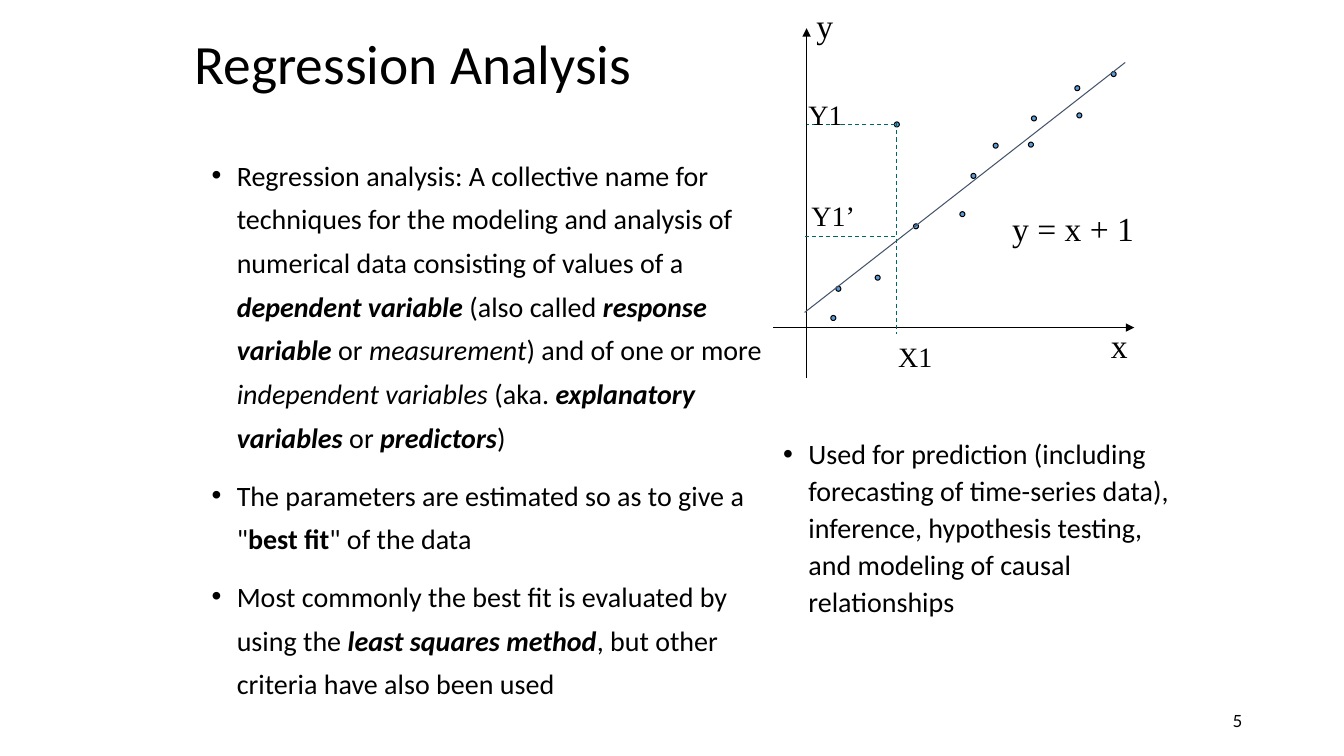
from lxml import etree
from pptx import Presentation
from pptx.dml.color import RGBColor
from pptx.enum.dml import MSO_LINE
from pptx.enum.shapes import MSO_CONNECTOR, MSO_SHAPE
from pptx.enum.text import MSO_ANCHOR, PP_ALIGN
from pptx.oxml.ns import qn
from pptx.util import Inches, Pt

CELL = 0.1  # side of one grid cell in inches
LINE = MSO_CONNECTOR.STRAIGHT
OVAL = MSO_SHAPE.OVAL
DASH = MSO_LINE.DASH
TOP, MIDDLE = MSO_ANCHOR.TOP, MSO_ANCHOR.MIDDLE
LEFT, RIGHT = PP_ALIGN.LEFT, PP_ALIGN.RIGHT
SANS, SERIF = "Calibri", "Times New Roman"
COLORS = {"ink": "000000", "dot": "5B9BD5", "fit": "44546A", "guide": "006666"}

# Runs are (text, style): b is bold, i is italic
POINTS = [
    [("Regression analysis: A collective name for techniques for the modeling "
      "and analysis of numerical data consisting of values of a ", ""),
     ("dependent variable ", "bi"), ("(also called ", ""),
     ("response variable ", "bi"), ("or ", ""), ("measurement", "i"),
     (") and of one or more ", ""), ("independent variables", "i"),
     (" (aka. ", ""), ("explanatory variables ", "bi"), ("or ", ""),
     ("predictors", "bi"), (")", "")],
    [("The parameters are estimated so as to give a \"", ""),
     ("best fit", "b"), ("\" of the data", "")],
    [("Most commonly the best fit is evaluated by using the ", ""),
     ("least squares method", "bi"),
     (", but other criteria have also been used", "")],
]
USES = [[("Used for prediction (including forecasting of time-series data), "
          "inference, hypothesis testing, and modeling of causal "
          "relationships", "")]]

# Dot corners, in columns and rows
DOTS = [(95.2, 21), (90.6, 22.2), (88.7, 12.1), (86.8, 27.3), (96.3, 17.2),
        (98.5, 14.2), (82.9, 28.4), (102, 14.1), (102.3, 11.5),
        (106.8, 11.2), (82.4, 31.3), (106.6, 8.5), (110.2, 7.1)]

# Plot labels: text, left, top, width, height, size
LABELS = [("y", 80, 0, 3.7, 5, 24), ("x", 109.2, 31.7, 3.7, 5, 24),
          ("y = x + 1", 99.4, 20.1, 14.1, 5, 24),
          ("X1", 88.1, 33.2, 5.4, 4.3, 20), ("Y1", 79.2, 9.2, 5.4, 4.3, 20),
          ("Y1’", 79.5, 19.2, 6.3, 4.3, 20)]


def grid(*cells):
    return [Inches(n * CELL) for n in cells]


def paint(name):
    return RGBColor.from_string(COLORS[name])


def add_bullet(para):
    props = para._p.get_or_add_pPr()
    props.set("marL", str(Inches(0.25)))
    props.set("indent", str(-Inches(0.25)))
    etree.SubElement(props, qn("a:buFont")).set("typeface", "Arial")
    etree.SubElement(props, qn("a:buChar")).set("char", "•")


def add_text(slide, paras, box, size=20, font=SANS, align=LEFT, anchor=TOP,
             space=None, bullet=False, wrap=True):
    if isinstance(paras, str):
        paras = [[(paras, "")]]
    frame = slide.shapes.add_textbox(*grid(*box)).text_frame
    frame.word_wrap = wrap
    frame.vertical_anchor = anchor
    for i, runs in enumerate(paras):
        para = frame.add_paragraph() if i else frame.paragraphs[0]
        para.alignment = align
        if space:
            para.line_spacing = space
        if i:
            para.space_before = Pt(10)
        if bullet:
            add_bullet(para)
        for text, style in runs:
            run = para.add_run()
            run.text = text
            run.font.name = font
            run.font.size = Pt(size)
            run.font.bold = "b" in style
            run.font.italic = "i" in style
            run.font.color.rgb = paint("ink")


def add_line(slide, start, end, color, dash=None, arrow=False):
    line = slide.shapes.add_connector(LINE, *grid(*start, *end))
    line.line.color.rgb = paint(color)
    line.line.width = Pt(0.75)
    if dash:
        line.line.dash_style = dash
    if arrow:
        stroke = line.line._get_or_add_ln()
        etree.SubElement(stroke, qn("a:tailEnd")).set("type", "triangle")
    etree.SubElement(line._element.spPr, qn("a:effectLst"))


def add_dot(slide, col, row):
    dot = slide.shapes.add_shape(OVAL, *grid(col, row, 0.5, 0.5))
    dot.shadow.inherit = False
    dot.fill.solid()
    dot.fill.fore_color.rgb = paint("dot")
    dot.line.color.rgb = paint("ink")
    dot.line.width = Pt(0.75)


def add_plot(slide):
    # Axes
    add_line(slide, (76.7, 32.5), (112.5, 32.5), "ink", arrow=True)
    add_line(slide, (80, 37.5), (80, 2.8), "ink", arrow=True)
    # Data and fitted line
    for col, row in DOTS:
        add_dot(slide, col, row)
    add_line(slide, (79.8, 31), (111.6, 6.2), "fit")
    # Guides from the point to its fitted value
    add_line(slide, (88.9, 12.2), (88.9, 33.1), "guide", dash=DASH)
    add_line(slide, (88.8, 12.4), (80, 12.4), "guide", dash=DASH)
    add_line(slide, (88.8, 23.5), (79.8, 23.5), "guide", dash=DASH)
    for text, *box, size in LABELS:
        add_text(slide, text, box, size=size, font=SERIF, wrap=False)


def main():
    deck = Presentation()
    deck.slide_width, deck.slide_height = Inches(13.33), Inches(7.5)
    slide = deck.slides.add_slide(deck.slide_layouts[6])
    # Title and body text
    add_text(slide, "Regression Analysis", (18.3, 3.3, 68.3, 6.7), size=39.6,
             anchor=MIDDLE, space=0.9)
    add_text(slide, POINTS, (20, 14.2, 59.2, 56.7), space=1.3, bullet=True)
    add_text(slide, USES, (76.7, 42.5, 41.7, 25), space=1.1, bullet=True)
    add_plot(slide)
    # Slide number
    add_text(slide, "5", (94.2, 69.5, 30, 4), size=12, font="Lato",
             align=RIGHT, anchor=MIDDLE)
    deck.save("out.pptx")


if __name__ == "__main__":
    main()
